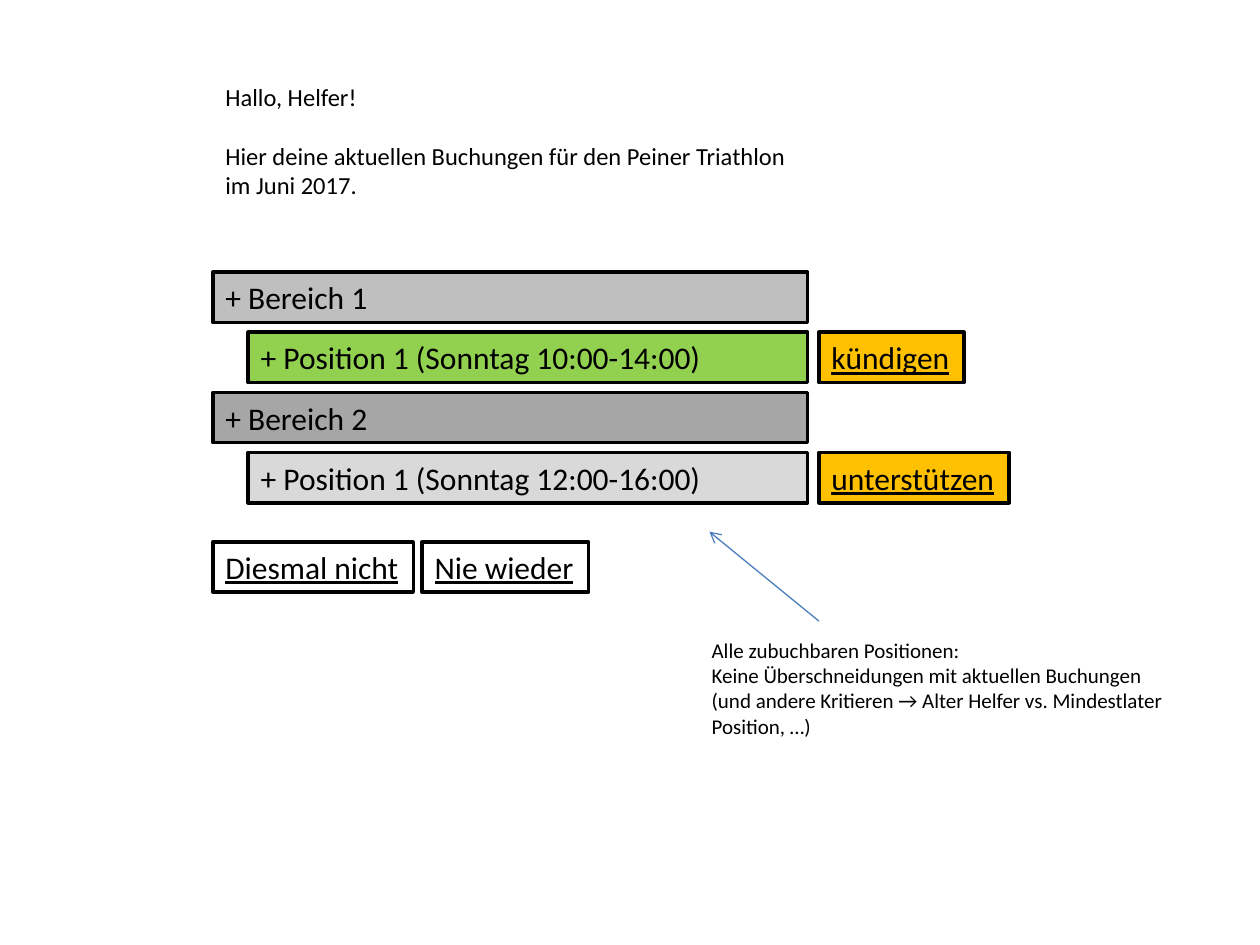
from dataclasses import dataclass

from lxml import etree
from pptx import Presentation
from pptx.dml.color import RGBColor
from pptx.enum.shapes import MSO_CONNECTOR, MSO_SHAPE
from pptx.enum.text import MSO_ANCHOR, MSO_AUTO_SIZE, PP_ALIGN
from pptx.oxml.ns import qn
from pptx.util import Inches, Pt

RECTANGLE = MSO_SHAPE.RECTANGLE
STRAIGHT = MSO_CONNECTOR.STRAIGHT
LEFT = PP_ALIGN.LEFT
TOP = MSO_ANCHOR.TOP
GROW = MSO_AUTO_SIZE.SHAPE_TO_FIT_TEXT


@dataclass(frozen=True)
class Theme:
    font: str = "Calibri"
    text: str = "000000"
    border: str = "000000"
    area_light: str = "BFBFBF"
    area_dark: str = "A6A6A6"
    booked: str = "92D050"
    available: str = "D9D9D9"
    action: str = "FFC000"
    arrow: str = "4B7EBC"
    label_size: int = 18
    greeting_size: int = 14
    note_size: int = 12
    border_width: float = 2
    arrow_width: float = 0.75


THEME = Theme()

# Grid of the booking list, in inches
AREA_LEFT, POSITION_LEFT, ACTION_LEFT = 1.69, 1.97, 6.5
LIST_RIGHT = 6.41
LIST_TOP, ROW_STEP, ROW_HEIGHT = 2.16, 0.477, 0.4
ANSWER_TOP, ANSWER_GAP = 4.3, 0.07


def color(value):
    return RGBColor.from_string(value)


def write(shape, lines, size, wrap=True, underline=False):
    """Fill a shape with one left-aligned paragraph per line."""
    frame = shape.text_frame
    frame.text = "\n".join(lines)
    frame.word_wrap = wrap
    frame.auto_size = GROW
    frame.vertical_anchor = TOP
    for paragraph in frame.paragraphs:
        paragraph.alignment = LEFT
        for run in paragraph.runs:
            run.font.name = THEME.font
            run.font.size = Pt(size)
            run.font.color.rgb = color(THEME.text)
            if underline:
                run.font.underline = True
    return frame


def add_box(slide, left, top, width, label, fill=None, button=False):
    """Add a bordered box; a button has underlined text."""
    shape = slide.shapes.add_shape(
        RECTANGLE, Inches(left), Inches(top), Inches(width), Inches(ROW_HEIGHT))
    shape.shadow.inherit = False
    if fill:
        shape.fill.solid()
        shape.fill.fore_color.rgb = color(fill)
    else:
        shape.fill.background()
    shape.line.color.rgb = color(THEME.border)
    shape.line.width = Pt(THEME.border_width)
    write(shape, [label], THEME.label_size, wrap=not button, underline=button)


def add_text(slide, left, top, width, height, lines, size, wrap=True):
    box = slide.shapes.add_textbox(
        Inches(left), Inches(top), Inches(width), Inches(height))
    return write(box, lines, size, wrap)


def add_arrow(slide, start, end):
    connector = slide.shapes.add_connector(
        STRAIGHT, *(Inches(length) for length in start + end))
    connector.line.color.rgb = color(THEME.arrow)
    connector.line.width = Pt(THEME.arrow_width)
    line = connector.line._get_or_add_ln()
    etree.SubElement(line, qn("a:tailEnd"), type="arrow")
    etree.SubElement(connector._element.spPr, qn("a:effectLst"))


def add_booking_list(slide):
    rows = [
        (AREA_LEFT, "+ Bereich 1", THEME.area_light, None),
        (POSITION_LEFT, "+ Position 1 (Sonntag 10:00-14:00)", THEME.booked,
         ("kündigen", 1.15)),
        (AREA_LEFT, "+ Bereich 2", THEME.area_dark, None),
        (POSITION_LEFT, "+ Position 1 (Sonntag 12:00-16:00)", THEME.available,
         ("unterstützen", 1.51)),
    ]
    for index, (left, label, fill, action) in enumerate(rows):
        top = LIST_TOP + index * ROW_STEP
        add_box(slide, left, top, LIST_RIGHT - left, label, fill)
        if action:
            name, width = action
            add_box(slide, ACTION_LEFT, top, width, name, THEME.action, button=True)


def add_answers(slide):
    left = AREA_LEFT
    for label, width in [("Diesmal nicht", 1.59), ("Nie wieder", 1.32)]:
        add_box(slide, left, ANSWER_TOP, width, label, button=True)
        left += width + ANSWER_GAP


def main():
    presentation = Presentation()
    presentation.slide_width = Inches(10)
    presentation.slide_height = Inches(7.5)
    slide = presentation.slides.add_slide(presentation.slide_layouts[6])

    # Bookings and answers
    add_booking_list(slide)
    add_answers(slide)

    # Greeting, with one line of space after the salutation
    greeting = add_text(
        slide, AREA_LEFT, 0.6, 4.74, 1.04,
        ["Hallo, Helfer!",
         "Hier deine aktuellen Buchungen für den Peiner Triathlon",
         "im Juni 2017."],
        THEME.greeting_size, wrap=False)
    greeting.paragraphs[0].space_after = Pt(17)

    # Note on the available positions
    add_text(
        slide, 5.55, 5.01, 3.86, 0.91,
        ["Alle zubuchbaren Positionen:",
         "Keine Überschneidungen mit aktuellen Buchungen",
         "(und andere Kritieren → Alter Helfer vs. Mindestlater",
         "Position, …)"],
        THEME.note_size)
    add_arrow(slide, (ACTION_LEFT, 4.93), (5.63, 4.22))

    presentation.save("out.pptx")


if __name__ == "__main__":
    main()
